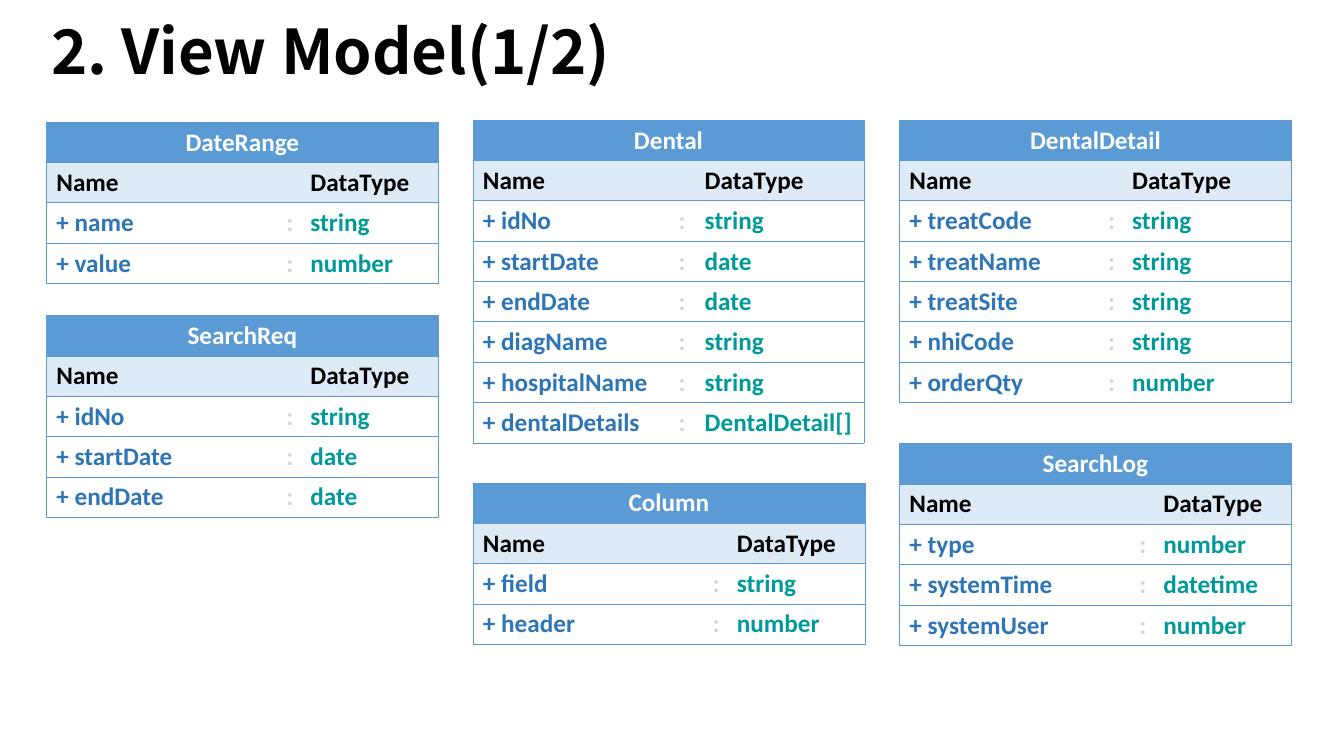
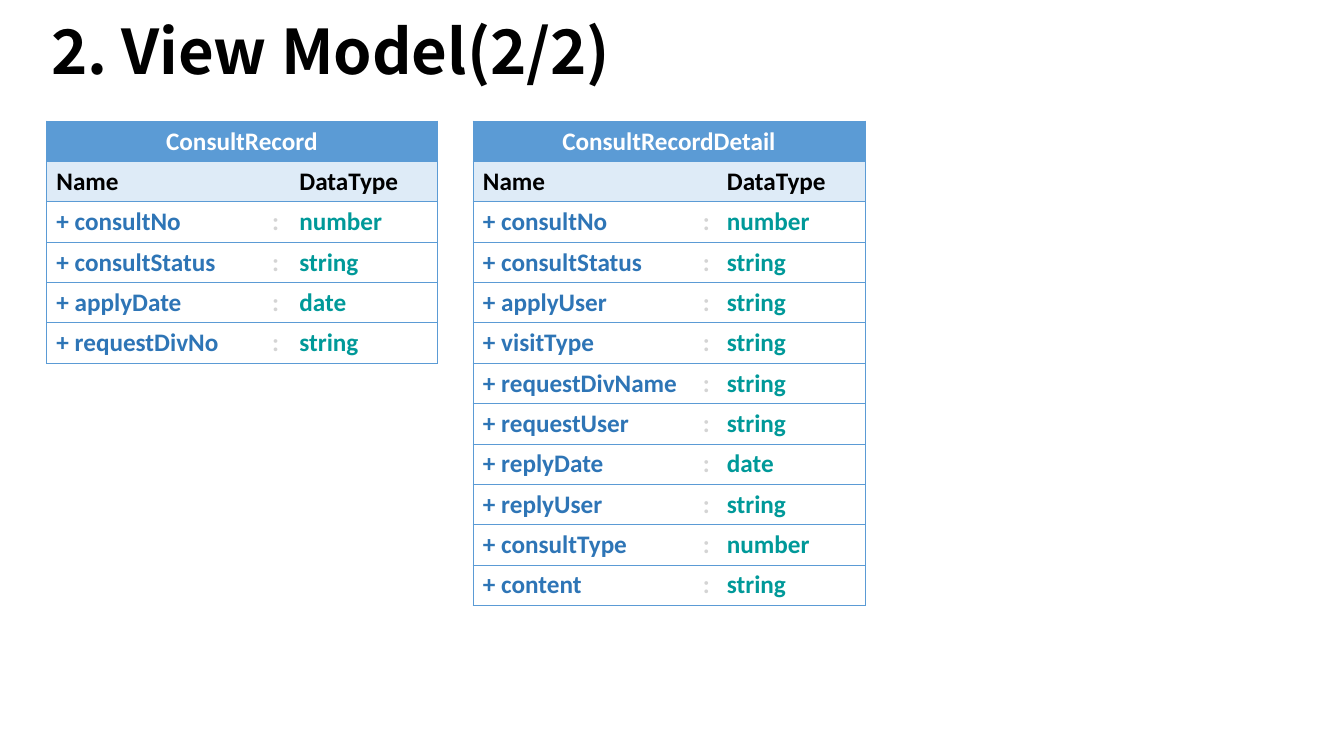
from lxml.etree import SubElement
from pptx import Presentation
from pptx.dml.color import RGBColor
from pptx.enum.text import MSO_ANCHOR, PP_ALIGN
from pptx.oxml.ns import qn
from pptx.util import Inches, Pt

BLACK = RGBColor(0x00, 0x00, 0x00)
WHITE = RGBColor(0xFF, 0xFF, 0xFF)
BLUE = RGBColor(0x5B, 0x9B, 0xD5)
PALE_BLUE = RGBColor(0xDE, 0xEB, 0xF7)
FIELD_BLUE = RGBColor(0x2E, 0x75, 0xB6)
GREY = RGBColor(0xD4, 0xD4, 0xD4)
TEAL = RGBColor(0x00, 0x99, 0x99)

TITLE_FONT, BODY_FONT = "Noto Sans CJK SC", "Calibri"
LEFT, COLUMN_STEP = 0.46, 4.23
TABLE_WIDTH, ROW_HEIGHT = 3.88, 0.4

# Each model: name, slide column, top, widths of name and colon columns, fields
SLIDES = [
    ("2. View Model(1/2)", [
        ("DateRange", 0, 1.21, (2.28, 0.23), [
            ("name", "string"), ("value", "number")]),
        ("SearchReq", 0, 3.13, (2.28, 0.23), [
            ("idNo", "string"), ("startDate", "date"), ("endDate", "date")]),
        ("Dental", 1, 1.19, (1.94, 0.26), [
            ("idNo", "string"), ("startDate", "date"), ("endDate", "date"),
            ("diagName", "string"), ("hospitalName", "string"),
            ("dentalDetails", "DentalDetail[]")]),
        ("Column", 1, 4.79, (2.28, 0.23), [
            ("field", "string"), ("header", "number")]),
        ("DentalDetail", 2, 1.19, (1.97, 0.23), [
            ("treatCode", "string"), ("treatName", "string"),
            ("treatSite", "string"), ("nhiCode", "string"),
            ("orderQty", "number")]),
        ("SearchLog", 2, 4.4, (2.28, 0.23), [
            ("type", "number"), ("systemTime", "datetime"),
            ("systemUser", "number")]),
    ]),
    ("2. View Model(2/2)", [
        ("ConsultRecord", 0, 1.2, (2.14, 0.27), [
            ("consultNo", "number"), ("consultStatus", "string"),
            ("applyDate", "date"), ("requestDivNo", "string")]),
        ("ConsultRecordDetail", 1, 1.2, (2.18, 0.23), [
            ("consultNo", "number"), ("consultStatus", "string"),
            ("applyUser", "string"), ("visitType", "string"),
            ("requestDivName", "string"), ("requestUser", "string"),
            ("replyDate", "date"), ("replyUser", "string"),
            ("consultType", "number"), ("content", "string")]),
    ]),
]


def write(paragraph, text, font_name, size, color):
    run = paragraph.add_run()
    run.text = text
    run.font.color.rgb = color
    for attribute, value in {"name": font_name, "size": Pt(size), "bold": True}.items():
        setattr(run.font, attribute, value)


def set_borders(cell, visible_sides):
    """Draw a thin blue line on the given sides (of L, R, T, B), none elsewhere."""
    properties = cell._tc.get_or_add_tcPr()
    for position, side in enumerate("LRTB"):
        line = SubElement(properties, qn(f"a:ln{side}"), w=str(Pt(0.5)))
        if side in visible_sides:
            fill = SubElement(line, qn("a:solidFill"))
            SubElement(fill, qn("a:srgbClr"), val=str(BLUE))
        else:
            SubElement(line, qn("a:noFill"))
        properties.insert(position, line)


def add_title(slide, text):
    title = slide.shapes.add_textbox(Inches(0.41), Inches(-0.1), Inches(9.3), Inches(1.28))
    frame = title.text_frame
    frame.word_wrap = True
    frame.vertical_anchor = MSO_ANCHOR.MIDDLE
    paragraph = frame.paragraphs[0]
    paragraph.line_spacing = 0.9
    write(paragraph, text, TITLE_FONT, 44, BLACK)


def add_model(slide, name, slide_column, top, widths, fields):
    rows = [
        ((name, "", ""), (WHITE,) * 3, BLUE),
        (("Name", "", "DataType"), (BLACK,) * 3, PALE_BLUE),
    ]
    rows += [((f"+ {field}", ":", data_type), (FIELD_BLUE, GREY, TEAL), None)
             for field, data_type in fields]
    table = slide.shapes.add_table(
        len(rows), 3, Inches(LEFT + slide_column * COLUMN_STEP), Inches(top),
        Inches(TABLE_WIDTH), Inches(ROW_HEIGHT * len(rows))).table
    table.first_row = table.horz_banding = False
    for column, width in zip(table.columns, (*widths, TABLE_WIDTH - sum(widths))):
        column.width = Inches(width)

    for r, (texts, colors, background) in enumerate(rows):
        table.rows[r].height = Inches(ROW_HEIGHT)
        for c, (text, color) in enumerate(zip(texts, colors)):
            cell = table.cell(r, c)
            if background is None:
                cell.fill.background()
            else:
                cell.fill.solid()
                cell.fill.fore_color.rgb = background
            set_borders(cell, "TB" + "L" * (c == 0) + "R" * (c == 2 or r == 0))
            paragraph = cell.text_frame.paragraphs[0]
            paragraph.font.size = Pt(18)
            if text:
                write(paragraph, text, BODY_FONT, 18, color)

    heading = table.cell(0, 0)
    heading.merge(table.cell(0, 2))
    heading.text_frame.paragraphs[0].alignment = PP_ALIGN.CENTER


def main():
    deck = Presentation()
    deck.slide_width, deck.slide_height = Inches(13.33), Inches(7.5)
    for title, models in SLIDES:
        slide = deck.slides.add_slide(deck.slide_layouts[6])
        add_title(slide, title)
        for model in models:
            add_model(slide, *model)
    deck.save("out.pptx")


if __name__ == "__main__":
    main()
